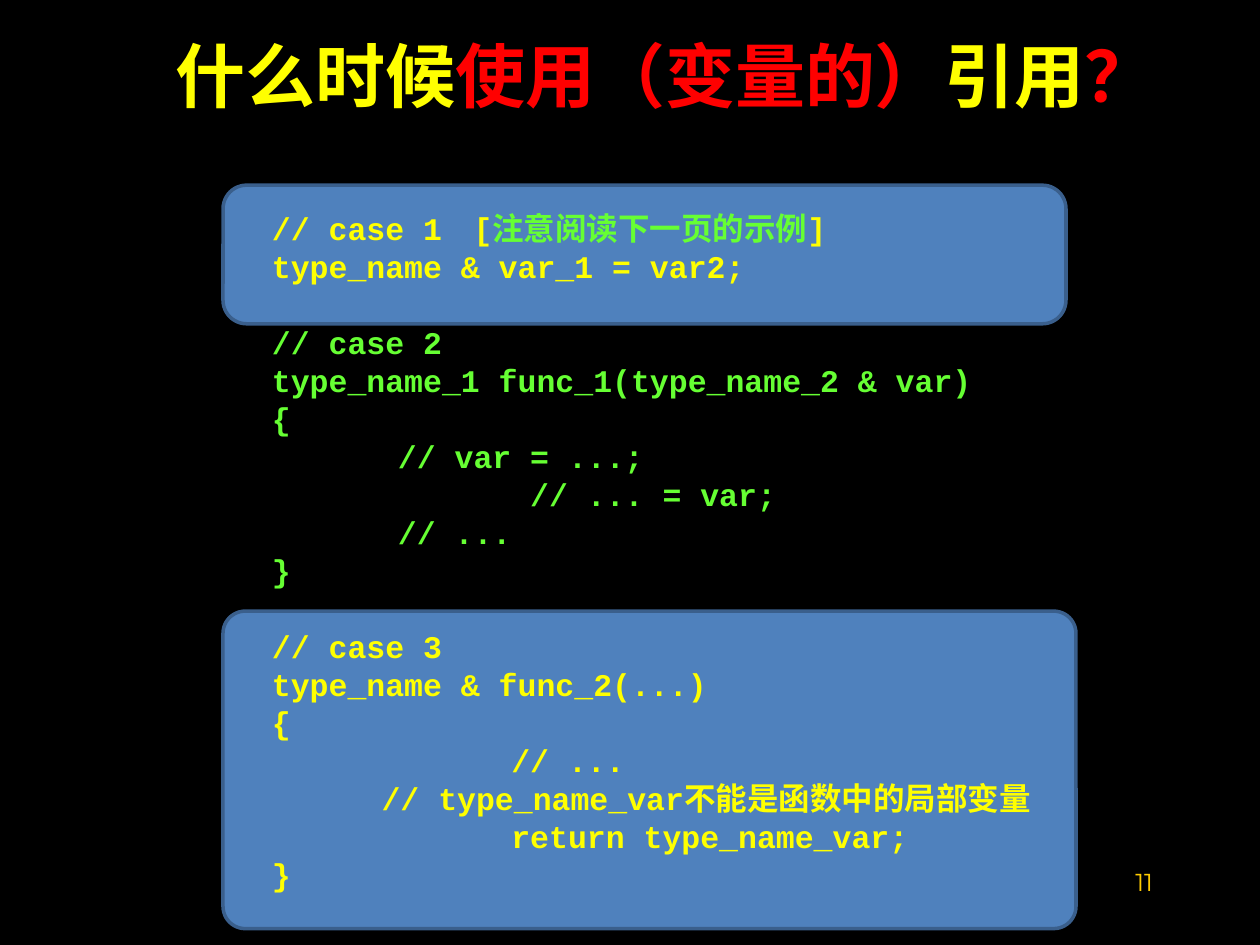
import pptx
import pptx.util
import pptx.dml.color
import pptx.enum.shapes
import pptx.enum.text
import pptx.oxml
import pptx.oxml.ns

Inches, Pt = pptx.util.Inches, pptx.util.Pt
ALIGN = pptx.enum.text.PP_ALIGN
CJK = "Noto Sans CJK SC"
MONO = "Courier New"
YELLOW, RED, GREEN, AMBER = "FFFF00", "FF0000", "66FF33", "FFCC00"
LINE_PITCH = Pt(21.7)

HEADING = [("什么时候", YELLOW), ("使用（变量的）", RED), ("引用", YELLOW), ("？", RED)]
CASE_1 = [
    (0, [("// case 1　[", YELLOW), ("注意阅读下一页的示例", GREEN), ("]", YELLOW)]),
    (0, [("type_name & var_1 = var2;", YELLOW)]),
]
CASE_2 = [(indent, [(code, GREEN)]) for indent, code in (
    (0, "// case 2"),
    (0, "type_name_1 func_1(type_name_2 & var)"),
    (0, "{"),
    (1, "// var = ...;"),
    (2.05, "// ... = var;"),
    (1, "// ..."),
    (0, "}"),
)]
CASE_3 = [(indent, [(code, YELLOW)]) for indent, code in (
    (0, "// case 3"),
    (0, "type_name & func_2(...)"),
    (0, "{"),
    (1.9, "// ..."),
    (0.87, "// type_name_var不能是函数中的局部变量"),
    (1.9, "return type_name_var;"),
    (0, "}"),
)]


def rgb(value):
    """Return the colour for a hex string."""
    return pptx.dml.color.RGBColor.from_string(value)


def set_font(font, name, size, bold=True):
    """Set typeface, size and weight, with the CJK face for Chinese text."""
    font.name, font.size, font.bold = name, Pt(size), bold
    east_asian = pptx.oxml.parse_xml(
        f'<a:ea {pptx.oxml.ns.nsdecls("a")} typeface="{CJK}"/>')
    font._element.append(east_asian)


def add_text_frame(slide, left, top, width, height):
    """Add a wrapping text box and return its text frame."""
    box = slide.shapes.add_textbox(
        Inches(left), Inches(top), Inches(width), Inches(height))
    box.text_frame.word_wrap = True
    return box.text_frame


def add_runs(paragraph, pieces, name, size):
    """Add coloured runs that share one typeface and size."""
    for words, color in pieces:
        run = paragraph.add_run()
        run.text = words
        set_font(run.font, name, size)
        run.font.color.rgb = rgb(color)


def add_heading(slide, left, top, width, height):
    """Add the two-coloured question as the heading."""
    paragraph = add_text_frame(slide, left, top, width, height).paragraphs[0]
    paragraph.alignment = ALIGN.CENTER
    add_runs(paragraph, HEADING, CJK, 40)


def add_panel(slide, left, top, width, height, corner):
    """Add a rounded blue panel behind a case."""
    panel = slide.shapes.add_shape(
        pptx.enum.shapes.MSO_SHAPE.ROUNDED_RECTANGLE,
        Inches(left), Inches(top), Inches(width), Inches(height))
    panel.adjustments[0] = corner
    panel.shadow.inherit = False
    panel.fill.solid()
    panel.fill.fore_color.rgb = rgb("4F81BD")
    panel.line.color.rgb = rgb("3A5F8C")
    panel.line.width = Pt(2)


def add_cases(slide, left, top, width, height):
    """Add the code of the three cases, one line apart."""
    frame = add_text_frame(slide, left, top, width, height)
    paragraph = frame.paragraphs[0]
    for case in (CASE_1, CASE_2, CASE_3):
        for number, (indent, pieces) in enumerate(case):
            if case is not CASE_1 or number:
                paragraph = frame.add_paragraph()
            paragraph.line_spacing = LINE_PITCH
            if number == 0 and case is not CASE_1:
                paragraph.space_before = LINE_PITCH
            paragraph._p.get_or_add_pPr().set("marL", str(Inches(indent)))
            add_runs(paragraph, pieces, MONO, 18)


def add_page_number(slide, left, top, width, height):
    """Add the page number at the lower right."""
    paragraph = add_text_frame(slide, left, top, width, height).paragraphs[0]
    paragraph.text = "11"
    paragraph.alignment = ALIGN.RIGHT
    set_font(paragraph.font, "Montserrat", 14, bold=False)
    paragraph.font.color.rgb = rgb(AMBER)


def main():
    """Build the slide and save it."""
    deck = pptx.Presentation()
    deck.slide_width, deck.slide_height = Inches(10), Inches(7.5)
    slide = deck.slides.add_slide(deck.slide_layouts[6])
    slide.background.fill.solid()
    slide.background.fill.fore_color.rgb = rgb("000000")
    add_panel(slide, 1.77, 4.85, 6.77, 2.52, 0.07)
    add_panel(slide, 1.77, 1.47, 6.69, 1.1, 0.17)
    add_heading(slide, 0.75, 0.21, 9.06, 1.02)
    add_cases(slide, 2.06, 1.61, 6.41, 5.5)
    add_page_number(slide, 7.17, 6.83, 2.08, 0.5)
    deck.save("out.pptx")


if __name__ == "__main__":
    main()
